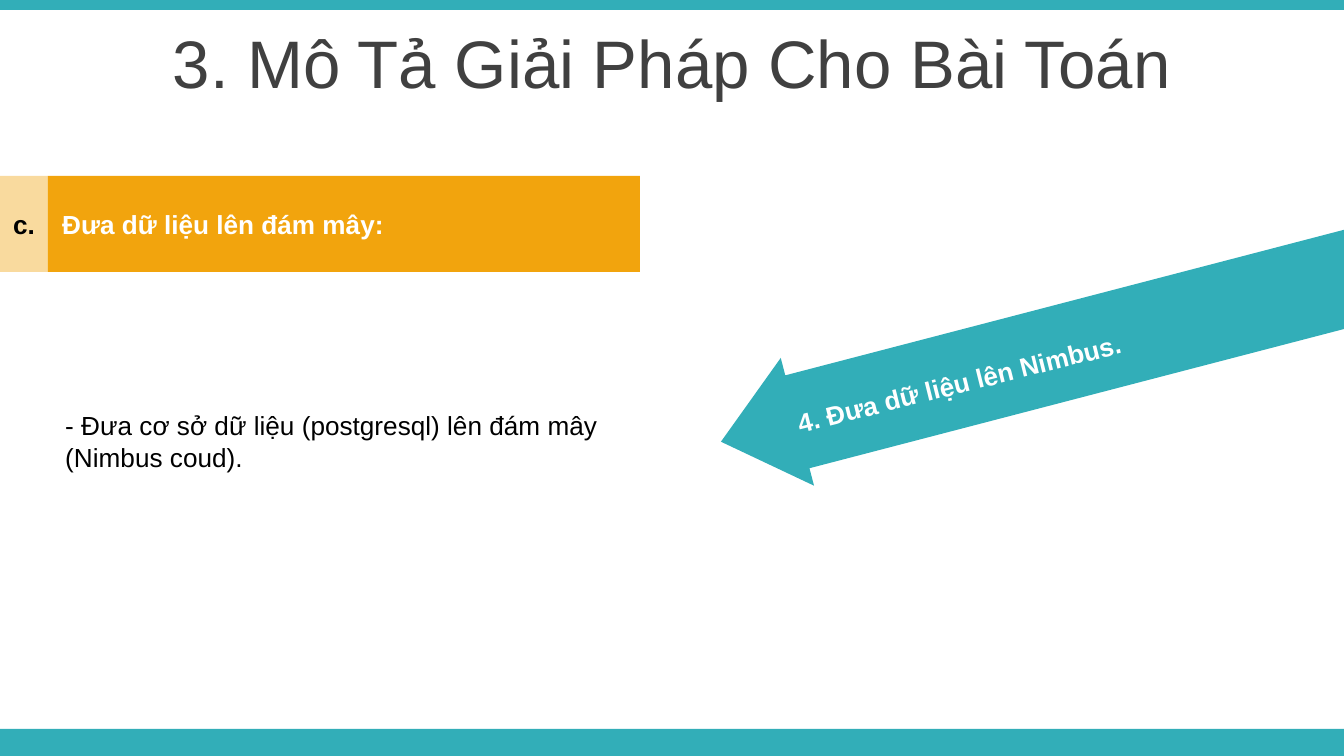
import dataclasses
import pptx
import pptx.util
import pptx.dml.color
import pptx.enum.shapes
import pptx.enum.text
import pptx.oxml
import pptx.oxml.ns

SCALE = 9144000 / 1344
TEAL = "32AEB8"
AMBER = "F2A40D"
WHITE = "FFFFFF"
BLACK = "000000"


@dataclasses.dataclass
class Box:
    left: int
    top: int
    width: int
    height: int


@dataclasses.dataclass
class Bar:
    box: Box
    fill: str
    alpha: int = 100


def emu(px: int) -> int:
    return round(px * SCALE)


def frame(box: Box) -> list[int]:
    return [emu(px) for px in dataclasses.astuple(box)]


def color(code: str) -> pptx.dml.color.RGBColor:
    return pptx.dml.color.RGBColor.from_string(code)


def paint(shape, code: str, alpha: int = 100) -> None:
    shape.shadow.inherit = False
    shape.line.fill.background()
    shape.fill.solid()
    shape.fill.fore_color.rgb = color(code)
    if alpha < 100:
        tint = shape.fill._xPr.find(".//" + pptx.oxml.ns.qn("a:srgbClr"))
        tint.append(pptx.oxml.parse_xml(
            f'<a:alpha {pptx.oxml.ns.nsdecls("a")} val="{alpha * 1000}"/>'))


def draw_bar(slide, bar: Bar) -> None:
    kind = pptx.enum.shapes.MSO_SHAPE.RECTANGLE
    shape = slide.shapes.add_shape(kind, *frame(bar.box))
    paint(shape, bar.fill, bar.alpha)


def draw_arrow(slide, box: Box, points: list[tuple[int, int]], turn: float) -> None:
    first, *rest = [(box.left + x, box.top + y) for x, y in points]
    pen = slide.shapes.build_freeform(*first, scale=SCALE)
    pen.add_line_segments(rest, close=True)
    shape = pen.convert_to_shape()
    paint(shape, TEAL)
    shape.rotation = turn


def write(slide, text: str, box: Box, *, size: int = 14, fill: str = BLACK,
          bold: bool = False, center: bool = False, turn: float = 0) -> None:
    label = slide.shapes.add_textbox(*frame(box))
    label.rotation = turn
    body = label.text_frame
    body.word_wrap = True
    body.auto_size = pptx.enum.text.MSO_AUTO_SIZE.NONE
    line = body.paragraphs[0]
    if center:
        body.vertical_anchor = pptx.enum.text.MSO_ANCHOR.MIDDLE
        line.alignment = pptx.enum.text.PP_ALIGN.CENTER
    run = line.add_run()
    run.text = text
    run.font.name = "Arial"
    run.font.size = pptx.util.Pt(size)
    run.font.bold = bold
    run.font.color.rgb = color(fill)


def main() -> None:
    deck = pptx.Presentation()
    deck.slide_width, deck.slide_height = emu(1344), emu(756)
    slide = deck.slides.add_slide(deck.slide_layouts[6])

    bars = [
        Bar(Box(0, 729, 1344, 27), TEAL),
        Bar(Box(0, 0, 1344, 10), TEAL),
        Bar(Box(48, 176, 592, 96), AMBER),
        Bar(Box(0, 176, 48, 96), AMBER, 40),
    ]
    for bar in bars:
        draw_bar(slide, bar)

    arrow = [(680, 18), (653, 114), (79, 114), (79, 132), (0, 66), (79, 0), (79, 18)]
    draw_arrow(slide, Box(710, 290, 680, 132), arrow, 345.4)

    write(slide, "3. Mô Tả Giải Pháp Cho Bài Toán", Box(0, 19, 1344, 85),
          size=36, fill="404040", center=True)
    write(slide, "Đưa dữ liệu lên đám mây:", Box(49, 202, 578, 46),
          fill=WHITE, bold=True)
    write(slide, "- Đưa cơ sở dữ liệu (postgresql) lên đám mây (Nimbus coud).",
          Box(52, 403, 589, 77))
    write(slide, "4. Đưa dữ liệu lên Nimbus.", Box(778, 345, 488, 46),
          fill=WHITE, bold=True, turn=346)
    write(slide, "c.", Box(0, 202, 69, 46), bold=True)

    deck.save("out.pptx")


if __name__ == "__main__":
    main()
